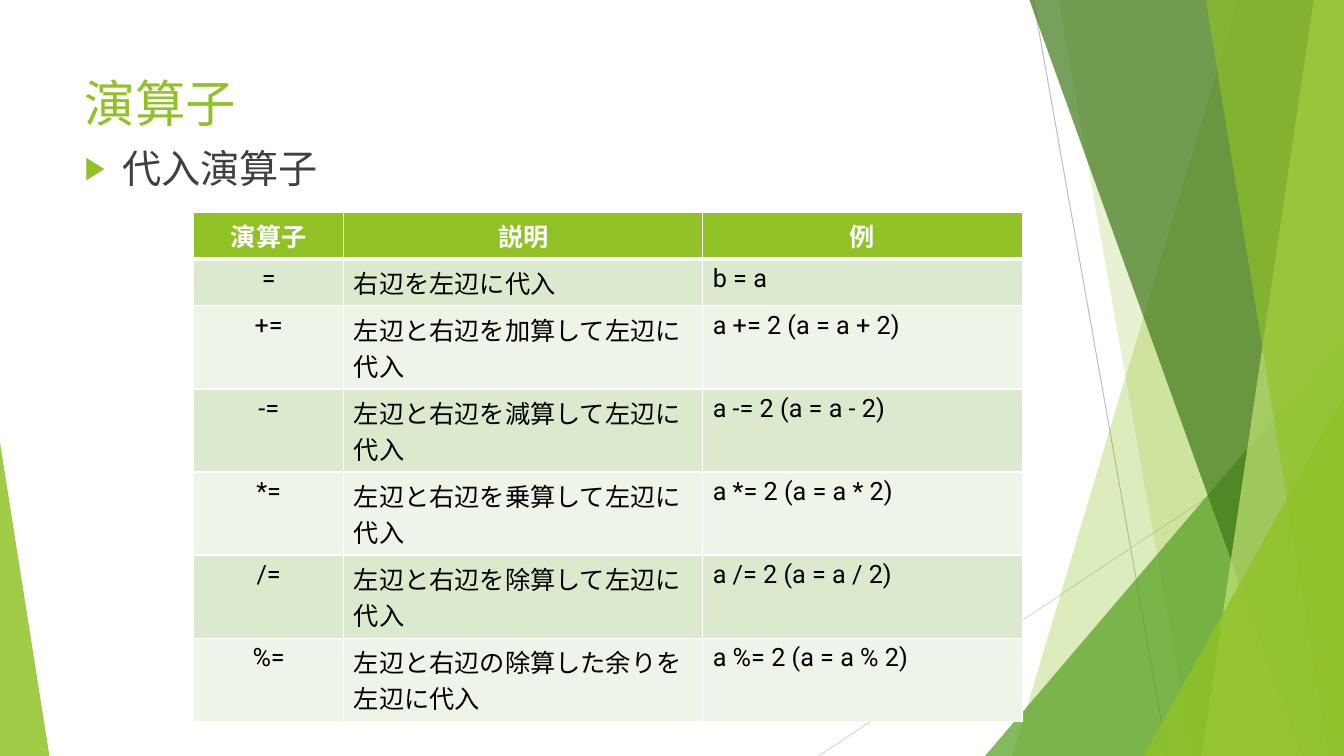
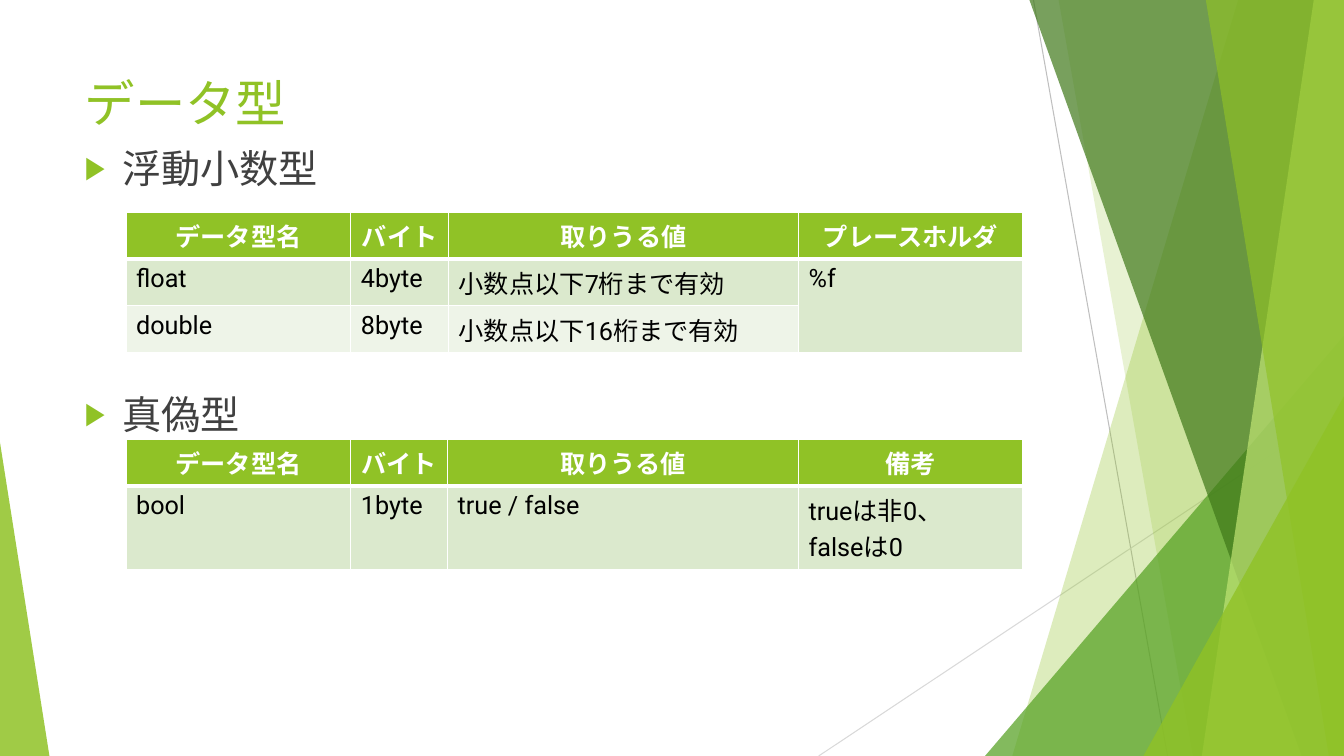
from dataclasses import dataclass

from lxml import etree
from pptx import Presentation
from pptx.dml.color import RGBColor
from pptx.enum import shapes, text
from pptx.oxml import ns
from pptx.util import Inches, Pt


# Theme: colours and type sizes
@dataclass(frozen=True)
class Theme:
    font: str = "Roboto"
    lime: str = "90C226"
    green: str = "54A021"
    forest: str = "3F7819"
    pale: str = "C0E474"
    ink: str = "404040"
    black: str = "000000"
    white: str = "FFFFFF"
    bands: tuple = ("DBE9CD", "EEF4E8")
    rays: tuple = ("BFBFBF", "D9D9D9")
    title_size: int = 36
    body_size: int = 28
    table_size: int = 18


THEME = Theme()
WIDTH, HEIGHT = 13.33, 7.5
ROW_HEIGHT = 0.41
TOPIC_INDENT = Inches(0.37)
CENTER, LEFT = text.PP_ALIGN.CENTER, text.PP_ALIGN.LEFT


def add_xml(parent, tag, **attributes):
    return etree.SubElement(parent, ns.qn(tag), attributes)


def write(frame, lines, *, size, color, bold=False, align=LEFT, asian=None):
    """Fill a text frame, one paragraph for each line."""
    for index, line in enumerate(lines):
        paragraph = frame.add_paragraph() if index else frame.paragraphs[0]
        paragraph.alignment = align
        run = paragraph.add_run()
        run.text = line
        run.font.name = THEME.font
        run.font.size = Pt(size)
        run.font.bold = bold
        run.font.color.rgb = RGBColor.from_string(color)
        if asian:
            add_xml(run.font._element, "a:ea", typeface=asian)


# Shared backdrop
def paint(facet, color, opacity):
    facet.shadow.inherit = False
    facet.line.fill.background()
    facet.fill.solid()
    facet.fill.fore_color.rgb = RGBColor.from_string(color)
    color_node = facet.fill._xPr.find(".//" + ns.qn("a:srgbClr"))
    add_xml(color_node, "a:alpha", val=str(opacity * 1000))


def add_ray(slide, start, end, color):
    ray = slide.shapes.add_connector(
        shapes.MSO_CONNECTOR.STRAIGHT, *map(Inches, (*start, *end)))
    ray.line.color.rgb = RGBColor.from_string(color)
    ray.line.width = Pt(0.75)
    add_xml(ray._element.spPr, "a:effectLst")


def add_facet(slide, top_x, bottom_x, color, opacity):
    """Add a full-height facet that reaches the right edge."""
    outline = slide.shapes.build_freeform(Inches(top_x), 0)
    corners = [(WIDTH, 0), (WIDTH, HEIGHT), (bottom_x, HEIGHT)]
    outline.add_line_segments([(Inches(x), Inches(y)) for x, y in corners])
    paint(outline.convert_to_shape(), color, opacity)


def add_triangle(slide, left, top, width, apex, color, opacity):
    """Add a triangle that stands on the bottom edge."""
    triangle = slide.shapes.add_shape(
        shapes.MSO_SHAPE.ISOSCELES_TRIANGLE,
        *map(Inches, (left, top, width, HEIGHT - top)))
    triangle.adjustments[0] = apex
    paint(triangle, color, opacity)


def add_backdrop(slide):
    """Draw the backdrop, then hand it to the slide's layout."""
    add_ray(slide, (10.25, 0), (11.58, HEIGHT), THEME.rays[0])
    add_ray(slide, (WIDTH, 4.03), (8.12, HEIGHT), THEME.rays[1])
    add_facet(slide, 12.28, 10.04, THEME.lime, 30)
    add_facet(slide, 10.5, 11.83, THEME.lime, 20)
    add_triangle(slide, 9.77, 3.33, 3.56, 1, THEME.green, 72)
    add_facet(slide, 10.21, 12.91, THEME.forest, 70)
    add_facet(slide, 13.03, 11.92, THEME.pale, 70)
    add_facet(slide, 11.96, 13.18, THEME.lime, 65)
    add_triangle(slide, 11.34, 3.93, 1.99, 1, THEME.lime, 80)
    add_triangle(slide, 0, 4.39, 0.49, 0, THEME.lime, 85)
    for part in list(slide.shapes):
        if not part.is_placeholder:
            slide.slide_layout.shapes.element.append(part._element)


def prepare_layout(layout):
    """Place title and body, and drop the unused footer fields."""
    boxes = {0: (0.74, 0.67, 9.4, 1.44), 1: (0.74, 1.38, 9.4, 5.23)}
    for holder in list(layout.placeholders):
        box = boxes.get(holder.placeholder_format.idx)
        if box is None:
            holder._element.getparent().remove(holder._element)
            continue
        holder.left, holder.top, holder.width, holder.height = map(Inches, box)
        holder.text_frame.vertical_anchor = text.MSO_ANCHOR.TOP
        holder.text_frame.auto_size = text.MSO_AUTO_SIZE.NONE


# Slide content
def add_content_slide(deck, layout, title, topics, topic_gap=10):
    slide = deck.slides.add_slide(layout)
    write(slide.shapes.title.text_frame, [title], size=THEME.title_size,
          color=THEME.lime, asian=THEME.font)
    body = slide.placeholders[1].text_frame
    write(body, topics, size=THEME.body_size, color=THEME.ink,
          asian=THEME.font)
    for index, topic in enumerate(body.paragraphs):
        topic.space_before = Pt(topic_gap if index else 10)
        properties = topic._p.get_or_add_pPr()
        properties.set("marL", str(TOPIC_INDENT))
        properties.set("indent", str(-TOPIC_INDENT))
        add_xml(add_xml(properties, "a:buClr"), "a:srgbClr", val=THEME.lime)
        add_xml(properties, "a:buSzPct", val="80000")
        add_xml(properties, "a:buChar", char="▶")
    return slide


def format_cell(cell, fill, bottom_width):
    properties = cell._tc.get_or_add_tcPr()
    for side in "LRTB":
        width = bottom_width if side == "B" else 1
        border = add_xml(properties, f"a:ln{side}", w=str(Pt(width)))
        add_xml(add_xml(border, "a:solidFill"), "a:srgbClr", val=THEME.white)
    cell.fill.solid()
    cell.fill.fore_color.rgb = RGBColor.from_string(fill)


def add_grid(slide, left, top, widths, rows, centered=()):
    """Add a table with a header row; centered lists columns to centre."""
    grid = slide.shapes.add_table(
        len(rows), len(widths), Inches(left), Inches(top),
        Inches(sum(widths)), Inches(ROW_HEIGHT * len(rows))).table
    for column, width in zip(grid.columns, widths):
        column.width = Inches(width)
    for r, row in enumerate(rows):
        header = r == 0
        fill = THEME.lime if header else THEME.bands[(r - 1) % 2]
        for c, content in enumerate(row):
            cell = grid.cell(r, c)
            format_cell(cell, fill, 3 if header else 1)
            if content:
                write(cell.text_frame, content.split("\n"),
                      size=THEME.table_size, bold=header,
                      color=THEME.white if header else THEME.black,
                      align=CENTER if header or c in centered else LEFT)
    return grid


def add_operators(slide):
    rows = [("演算子", "説明", "例"), ("=", "右辺を左辺に代入", "b = a")]
    descriptions = {
        "+": "左辺と右辺を加算して左辺に代入",
        "-": "左辺と右辺を減算して左辺に代入",
        "*": "左辺と右辺を乗算して左辺に代入",
        "/": "左辺と右辺を除算して左辺に代入",
        "%": "左辺と右辺の除算した余りを左辺に代入",
    }
    rows += [(f"{sign}=", meaning, f"a {sign}= 2 (a = a {sign} 2)")
             for sign, meaning in descriptions.items()]
    add_grid(slide, 1.92, 2.11, (1.49, 3.56, 3.17), rows, centered=(0,))


def add_data_types(slide):
    columns = ("データ型名", "バイト", "取りうる値")
    floats = add_grid(slide, 1.25, 2.11, (2.23, 0.97, 3.47, 2.22), [
        (*columns, "プレースホルダ"),
        ("float", "4byte", "小数点以下7桁まで有効", "%f"),
        ("double", "8byte", "小数点以下16桁まで有効", None),
    ])
    floats.cell(1, 3).merge(floats.cell(2, 3))
    add_grid(slide, 1.25, 4.36, (2.23, 0.96, 3.48, 2.22), [
        (*columns, "備考"),
        ("bool", "1byte", "true / false", "trueは非0、\nfalseは0"),
    ])


def main():
    deck = Presentation()
    deck.slide_width, deck.slide_height = Inches(WIDTH), Inches(HEIGHT)
    layout = deck.slide_layouts[1]
    prepare_layout(layout)
    operators = add_content_slide(deck, layout, "演算子", ["代入演算子"])
    add_backdrop(operators)
    add_operators(operators)
    data_types = add_content_slide(
        deck, layout, "データ型", ["浮動小数型", "真偽型"], topic_gap=142)
    add_data_types(data_types)
    deck.save("out.pptx")


if __name__ == "__main__":
    main()
